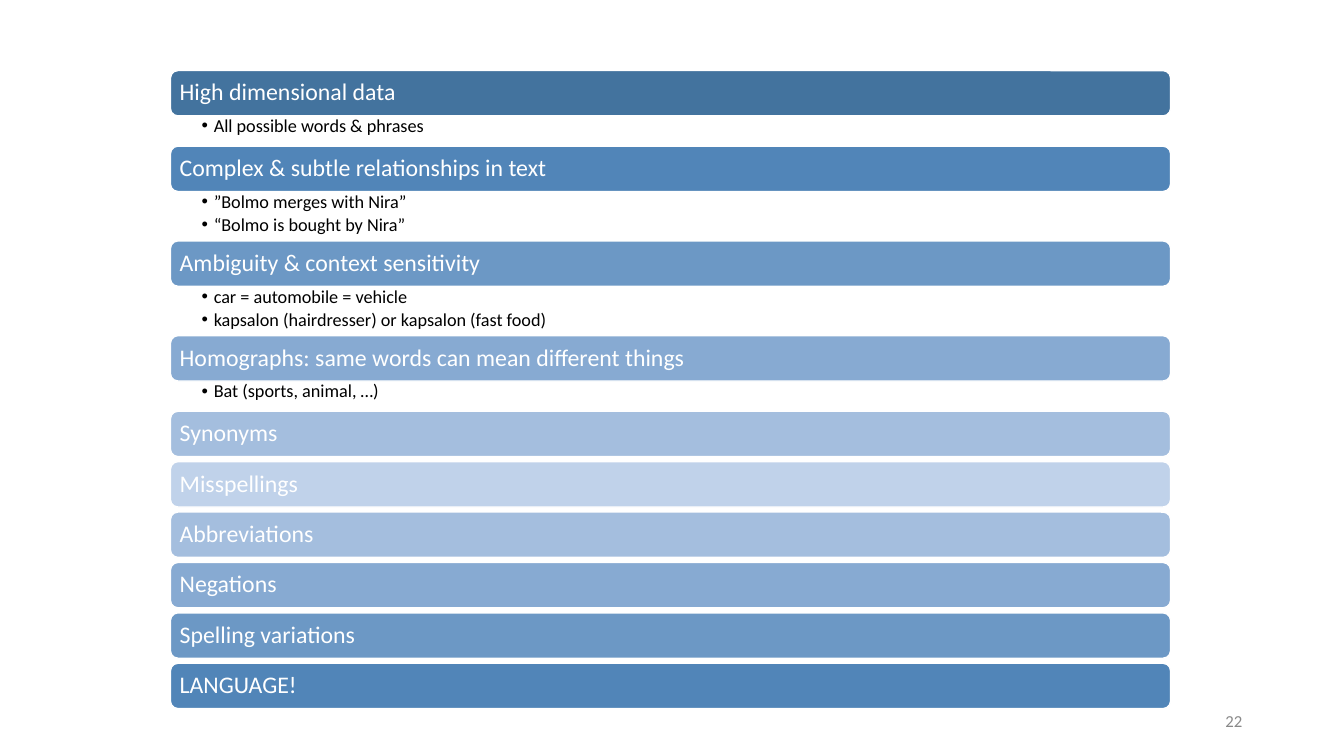
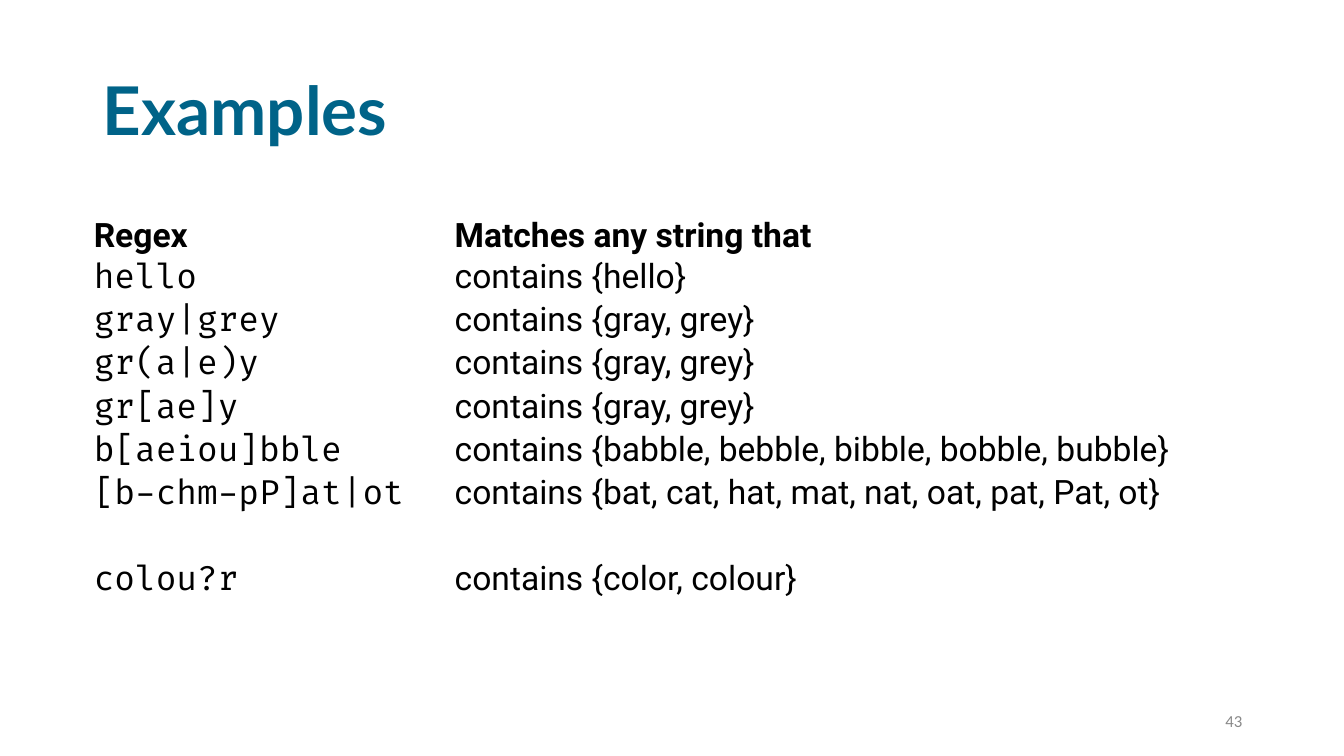
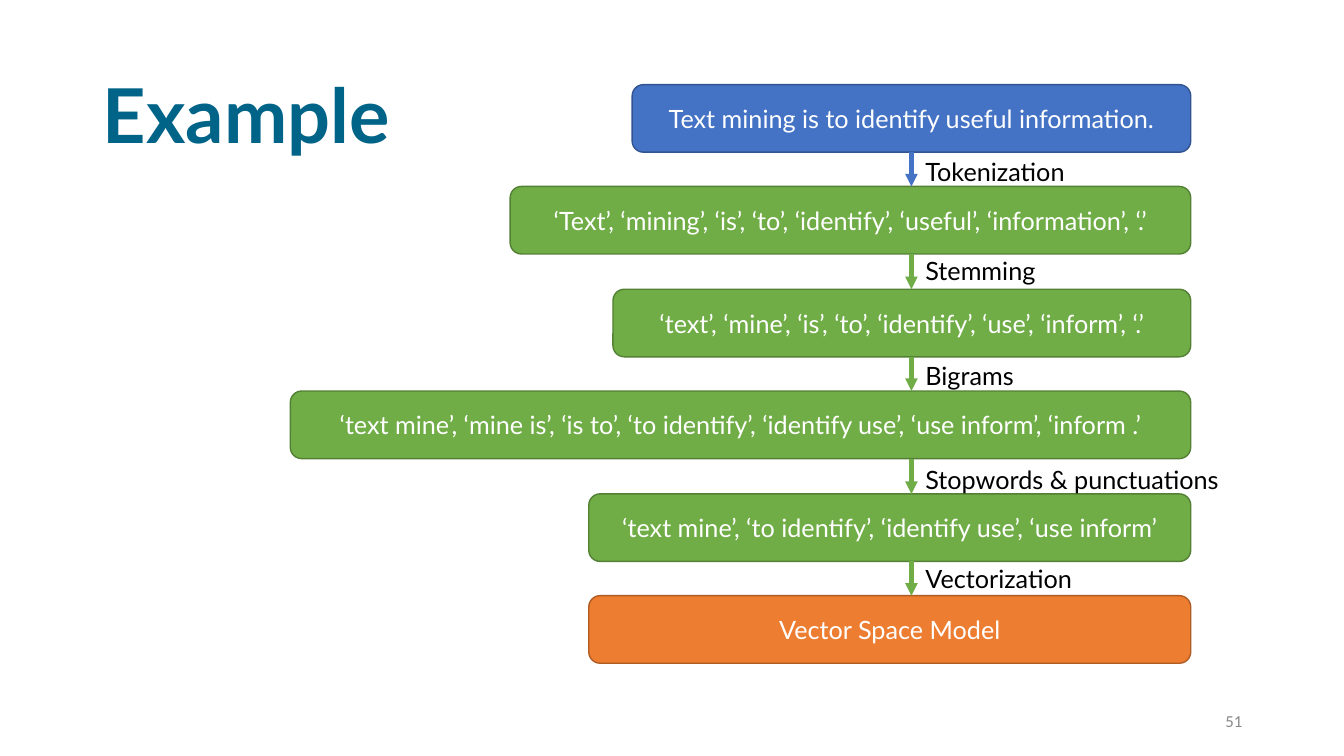
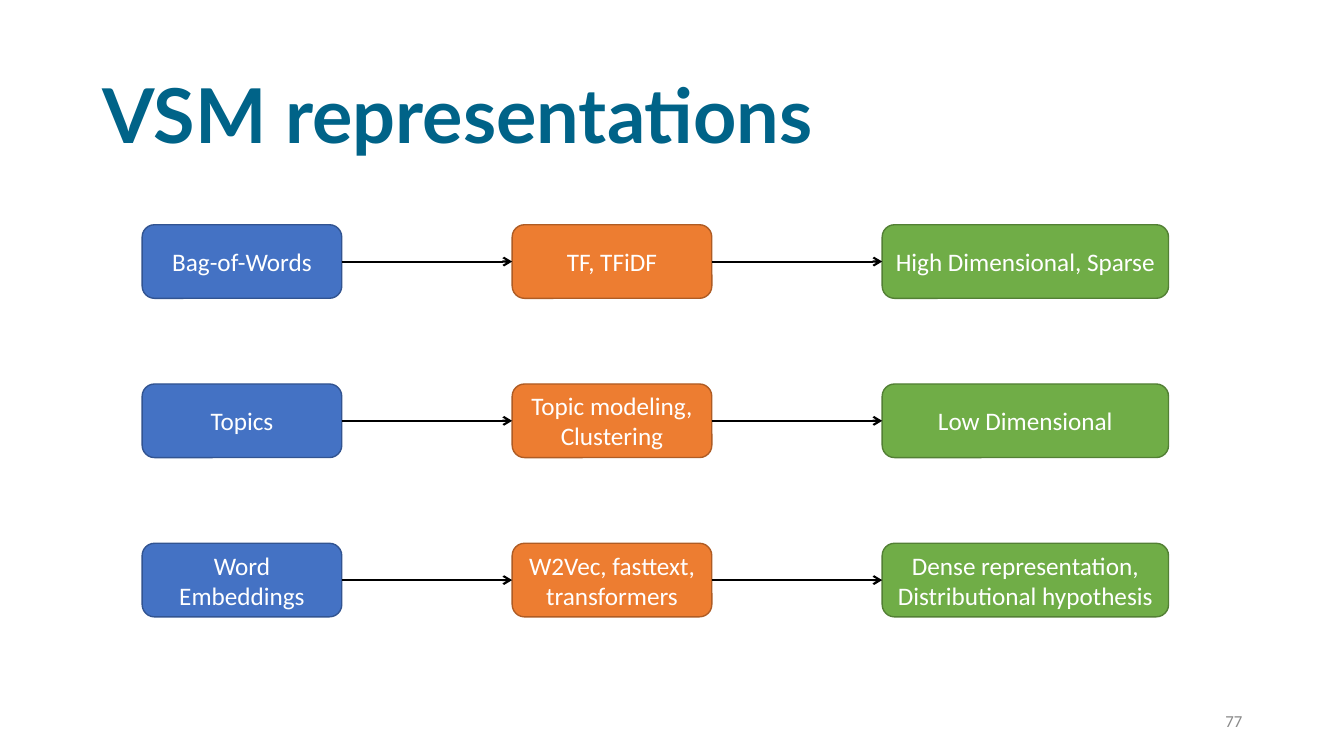
from pptx import Presentation
from pptx.dml.color import RGBColor
from pptx.enum.shapes import MSO_CONNECTOR, MSO_SHAPE
from pptx.enum.text import MSO_ANCHOR, MSO_AUTO_SIZE, PP_ALIGN
from pptx.oxml.ns import qn
from pptx.util import Pt
from lxml import etree

ROUNDED, STRAIGHT = MSO_SHAPE.ROUNDED_RECTANGLE, MSO_CONNECTOR.STRAIGHT
LEFT, CENTER, RIGHT = PP_ALIGN.LEFT, PP_ALIGN.CENTER, PP_ALIGN.RIGHT
TOP, MIDDLE, BOTTOM = MSO_ANCHOR.TOP, MSO_ANCHOR.MIDDLE, MSO_ANCHOR.BOTTOM
SIDE_LEFT, SIDE_BOTTOM, SIDE_RIGHT = 1, 2, 3
TITLE_ONLY, BLANK = 5, 6

PX = 9144  # EMU per px, 100 px to the inch
SLIDE_SIZE = (1333, 750)
TITLE_BOX = (92, 40, 1150, 145)
NUMBER_BOX = (942, 695, 300, 40)

WHITE = RGBColor(0xFF, 0xFF, 0xFF)
BLACK = RGBColor(0x00, 0x00, 0x00)
GREY = RGBColor(0x89, 0x89, 0x89)
TEAL = RGBColor(0x00, 0x63, 0x88)
BLUE, BLUE_EDGE = RGBColor(0x44, 0x72, 0xC4), RGBColor(0x32, 0x54, 0x91)
GREEN, GREEN_EDGE = RGBColor(0x70, 0xAD, 0x47), RGBColor(0x53, 0x80, 0x35)
ORANGE, ORANGE_EDGE = RGBColor(0xED, 0x7D, 0x31), RGBColor(0xAF, 0x5C, 0x24)
SHADES = [RGBColor(0x43, 0x73, 0x9E), RGBColor(0x51, 0x85, 0xB8),
          RGBColor(0x6C, 0x98, 0xC5), RGBColor(0x87, 0xAA, 0xD2),
          RGBColor(0xA4, 0xBE, 0xDE), RGBColor(0xC0, 0xD2, 0xEA)]
BLUE_BOX, GREEN_BOX, ORANGE_BOX = (BLUE, BLUE_EDGE), (GREEN, GREEN_EDGE), (ORANGE, ORANGE_EDGE)

CHALLENGES = [
    ("High dimensional data", ["All possible words & phrases"]),
    ("Complex & subtle relationships in text",
     ["”Bolmo merges with Nira”", "“Bolmo is bought by Nira”"]),
    ("Ambiguity & context sensitivity",
     ["car = automobile = vehicle", "kapsalon (hairdresser) or kapsalon (fast food)"]),
    ("Homographs: same words can mean different things", ["Bat (sports, animal, …)"]),
    ("Synonyms", []),
    ("Misspellings", []),
    ("Abbreviations", []),
    ("Negations", []),
    ("Spelling variations", []),
    ("LANGUAGE!", []),
]
REGEX_ROWS = [
    ("Regex", "Matches any string that"),
    ("hello", "contains {hello}"),
    ("gray|grey", "contains {gray, grey}"),
    ("gr(a|e)y", "contains {gray, grey}"),
    ("gr[ae]y", "contains {gray, grey}"),
    ("b[aeiou]bble", "contains {babble, bebble, bibble, bobble, bubble}"),
    ("[b-chm-pP]at|ot", "contains {bat, cat, hat, mat, nat, oat, pat, Pat, ot}"),
    ("colou?r", "contains {color, colour}"),
]
REGEX_COLUMNS = (358, 851)
REGEX_HEIGHTS = (43, 43, 43, 43, 43, 43, 85, 43)

# text, box width, colours
STAGES = [
    ("Text mining is to identify useful information.", 554, BLUE_BOX),
    ("‘Text’, ‘mining’, ‘is’, ‘to’, ‘identify’, ‘useful’, ‘information’, ‘.’", 675, GREEN_BOX),
    ("‘text’, ‘mine’, ‘is’, ‘to’, ‘identify’, ‘use’, ‘inform’, ‘.’", 573, GREEN_BOX),
    ("‘text mine’, ‘mine is’, ‘is to’, ‘to identify’, ‘identify use’, ‘use inform’, ‘inform .’",
     893, GREEN_BOX),
    ("‘text mine’, ‘to identify’, ‘identify use’, ‘use inform’", 597, GREEN_BOX),
    ("Vector Space Model", 597, ORANGE_BOX),
]
# label, label top, arrow colour
STEPS = [("Tokenization", 150, BLUE), ("Stemming", 248, GREEN), ("Bigrams", 353, GREEN),
         ("Stopwords & punctuations", 456, GREEN), ("Vectorization", 554, GREEN)]

# left, width, colours
VSM_COLUMNS = [(141, 198, BLUE_BOX), (508, 198, ORANGE_BOX), (875, 284, GREEN_BOX)]
VSM_ROWS = [
    (["Bag-of-Words"], ["TF, TFiDF"], ["High Dimensional, Sparse"]),
    (["Topics"], ["Topic modeling, Clustering"], ["Low Dimensional"]),
    (["Word Embeddings"], ["W2Vec, fasttext, transformers"],
     ["Dense representation,", "Distributional hypothesis"]),
]


def px(*lengths):
    return [length * PX for length in lengths]


def set_all(target, values):
    for key, value in values.items():
        setattr(target, key, value)


def add_bullet(paragraph, hang):
    props = paragraph._p.get_or_add_pPr()
    props.set("marL", str(hang * PX))
    props.set("indent", str(-hang * PX))
    etree.SubElement(props, qn("a:buFont")).set("typeface", "Arial")
    etree.SubElement(props, qn("a:buChar")).set("char", "•")


def write(frame, lines, size, color, font="Calibri", bold=False, align=LEFT,
          anchor=MIDDLE, insets=(10, 5, 10, 5), spacing=1.0, after=0, hang=0):
    """Fill a text frame with one paragraph per line."""
    sides = ("margin_left", "margin_top", "margin_right", "margin_bottom")
    set_all(frame, dict(zip(sides, px(*insets)), word_wrap=True,
                        vertical_anchor=anchor, auto_size=MSO_AUTO_SIZE.NONE))
    for index, line in enumerate(lines):
        paragraph = frame.add_paragraph() if index else frame.paragraphs[0]
        paragraph.text = line
        set_all(paragraph, {"alignment": align, "line_spacing": spacing,
                            "space_after": Pt(after)})
        if hang:
            add_bullet(paragraph, hang)
        run_font = paragraph.runs[0].font
        set_all(run_font, {"name": font, "size": Pt(size), "bold": bold})
        run_font.color.rgb = color


def add_label(slide, box, lines, size, color, **style):
    label = slide.shapes.add_textbox(*px(*box))
    write(label.text_frame, lines, size, color, **style)


def add_box(slide, box, lines, colors, size=18, **style):
    rounded = slide.shapes.add_shape(ROUNDED, *px(*box))
    rounded.shadow.inherit = False
    rounded.fill.solid()
    rounded.fill.fore_color.rgb, rounded.line.color.rgb = colors
    rounded.line.width = Pt(1)
    write(rounded.text_frame, lines, size, WHITE, **style)
    return rounded


def add_arrow(slide, ends, color, width, head):
    arrow = slide.shapes.add_connector(STRAIGHT, *px(*ends))
    arrow.line.color.rgb = color
    arrow.line.width = Pt(width)
    etree.SubElement(arrow.line._get_or_add_ln(), qn("a:tailEnd")).set("type", head)
    etree.SubElement(arrow._element.spPr, qn("a:effectLst"))
    return arrow


def add_slide(deck, number, title=None, size=54, spacing=1.0):
    slide = deck.slides.add_slide(deck.slide_layouts[TITLE_ONLY if title else BLANK])
    if title:
        heading = slide.shapes.title
        set_all(heading, dict(zip(("left", "top", "width", "height"), px(*TITLE_BOX))))
        write(heading.text_frame, [title], size, TEAL, font="Lato", bold=True, spacing=spacing)
    add_label(slide, NUMBER_BOX, [str(number)], 12, GREY, align=RIGHT)
    return slide


def build_challenges(deck):
    slide = add_slide(deck, 22)
    left, top, width, bar_height = 169, 70, 992, 45
    pitch = {0: 50, 1: 75, 2: 94}  # by number of bullets under the bar
    deepest = len(SHADES) - 1
    for index, (heading, bullets) in enumerate(CHALLENGES):
        shade = SHADES[deepest - abs(deepest - index)]
        add_box(slide, (left, top, width, bar_height), [heading], (shade, WHITE), size=17,
                insets=(7, 7, 7, 7), spacing=0.9)
        if bullets:
            add_label(slide, (left, top + bar_height - 1, width, pitch[len(bullets)] - bar_height),
                      bullets, 13, BLACK, anchor=TOP, insets=(31, 2, 13, 2),
                      spacing=0.9, after=2.6, hang=12)
        top += pitch[len(bullets)]


def build_regex_examples(deck):
    slide = add_slide(deck, 43, "Examples", size=48, spacing=0.9)
    frame = slide.shapes.add_table(len(REGEX_ROWS), len(REGEX_COLUMNS),
                                   *px(92, 211, sum(REGEX_COLUMNS), sum(REGEX_HEIGHTS)))
    table = frame.table
    set_all(table, {"first_row": False, "horz_banding": False})
    for column, width in zip(table.columns, REGEX_COLUMNS):
        column.width = width * PX
    for r, (texts, height) in enumerate(zip(REGEX_ROWS, REGEX_HEIGHTS)):
        table.rows[r].height = height * PX
        for c, text in enumerate(texts):
            cell = table.cell(r, c)
            cell.fill.background()
            header = r == 0
            write(cell.text_frame, [text], 24, BLACK, bold=header,
                  font="Roboto" if header or c else "Fira Code")
            set_all(cell, {"margin_left": PX, "margin_top": PX, "margin_right": PX,
                           "margin_bottom": 0, "vertical_anchor": BOTTOM if header else TOP})


def build_pipeline(deck):
    slide = add_slide(deck, 51, "Example")
    right, height, arrow_x = 1181, 67, 904
    tops = [84 + 203 * index // 2 for index in range(len(STAGES))]
    boxes = [add_box(slide, (right - width, top, width, height), [text], colors,
                     font="Lato", align=CENTER)
             for (text, width, colors), top in zip(STAGES, tops)]
    for index, (label, label_top, color) in enumerate(STEPS):
        arrow = add_arrow(slide, (arrow_x, tops[index] + height, arrow_x, tops[index + 1]),
                          color, 3, "triangle")
        if right - STAGES[index][1] // 2 == arrow_x:
            arrow.begin_connect(boxes[index], SIDE_BOTTOM)
        add_label(slide, (908, label_top, 356, 40), [label], 18, BLACK, font="Lato", anchor=TOP)


def build_representations(deck):
    slide = add_slide(deck, 77, "VSM representations")
    top, pitch, height = 223, 158, 73
    for index, texts in enumerate(VSM_ROWS):
        row_top = top + pitch * index
        boxes = [add_box(slide, (left, row_top, width, height), lines, colors, align=CENTER)
                 for lines, (left, width, colors) in zip(texts, VSM_COLUMNS)]
        for source, target in zip(boxes, boxes[1:]):
            arrow = add_arrow(slide, (0, 0, 0, 0), BLACK, 1.5, "arrow")
            arrow.begin_connect(source, SIDE_RIGHT)
            arrow.end_connect(target, SIDE_LEFT)


def main():
    deck = Presentation()
    deck.slide_width, deck.slide_height = px(*SLIDE_SIZE)
    for build in (build_challenges, build_regex_examples, build_pipeline, build_representations):
        build(deck)
    deck.save("out.pptx")


if __name__ == "__main__":
    main()
